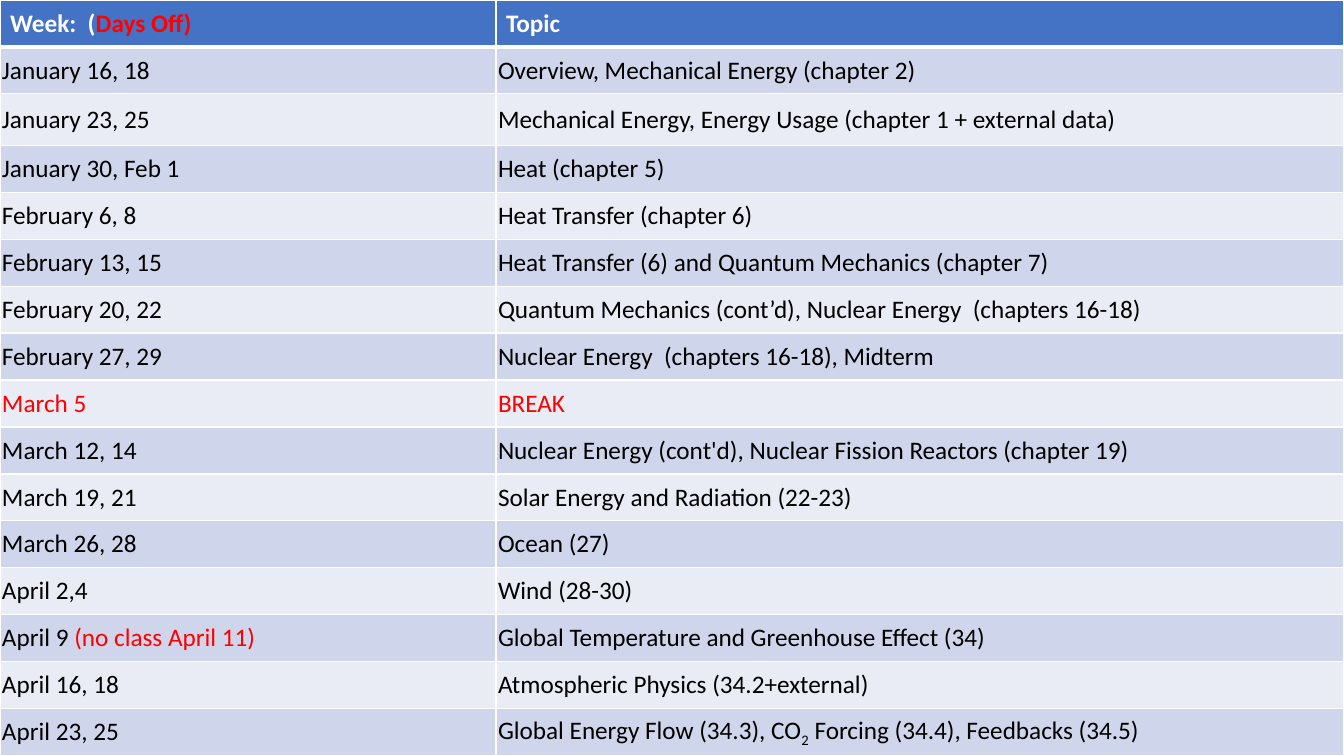
from lxml import etree
from pptx import Presentation
from pptx.dml.color import RGBColor as Color
from pptx.enum.text import MSO_ANCHOR as Anchor
from pptx.oxml.ns import qn
from pptx.util import Inches, Pt

COLORS = {
    "header": "4472C4",
    "odd": "CFD5EA",
    "even": "E9EBF5",
    "border": "FFFFFF",
    "title": "FFFFFF",
    "text": "000000",
    "off": "FF0000",
}

# Each cell is a list of (text, style); a bare string is one plain span
SCHEDULE = [
    ([("Week:  (", "title"), ("Days Off)", "off")], [("Topic", "title")]),
    ("January 16, 18", "Overview, Mechanical Energy (chapter 2)"),
    ("January 23, 25", "Mechanical Energy, Energy Usage (chapter 1 + external data)"),
    ("January 30, Feb 1", "Heat (chapter 5)"),
    ("February 6, 8", "Heat Transfer (chapter 6)"),
    ("February 13, 15", "Heat Transfer (6) and Quantum Mechanics (chapter 7)"),
    ("February 20, 22", "Quantum Mechanics (cont’d), Nuclear Energy  (chapters 16-18)"),
    ("February 27, 29", "Nuclear Energy  (chapters 16-18), Midterm"),
    ([("March 5", "off")], [("BREAK", "off")]),
    ("March 12, 14", "Nuclear Energy (cont'd), Nuclear Fission Reactors (chapter 19)"),
    ("March 19, 21", "Solar Energy and Radiation (22-23)"),
    ("March 26, 28", "Ocean (27)"),
    ("April 2,4", "Wind (28-30)"),
    ([("April 9 ", "text"), ("(no class April 11)", "off")],
     "Global Temperature and Greenhouse Effect (34)"),
    ("April 16, 18", "Atmospheric Physics (34.2+external)"),
    ("April 23, 25",
     [("Global Energy Flow (34.3), CO", "text"), ("2", "subscript"),
      (" Forcing (34.4), Feedbacks (34.5)", "text")]),
]

WIDTH, HEIGHT = 13.33, 7.5
COLUMN_WIDTHS = [4.92, 8.41]
TALL_ROW, TALL_HEIGHT = 2, 0.51


def add_border(cell, side, points):
    line = etree.SubElement(cell._tc.get_or_add_tcPr(), qn(f"a:ln{side}"), w=str(Pt(points)))
    fill = etree.SubElement(line, qn("a:solidFill"))
    etree.SubElement(fill, qn("a:srgbClr"), val=COLORS["border"])


# Page
deck = Presentation()
deck.slide_width, deck.slide_height = Inches(WIDTH), Inches(HEIGHT)
page = deck.slides.add_slide(deck.slide_layouts[6])

# Table grid: one taller row, the rest share the remaining height
frame = page.shapes.add_table(len(SCHEDULE), len(COLUMN_WIDTHS), 0, 0, Inches(WIDTH), Inches(HEIGHT))
table = frame.table
for column, width in zip(table.columns, COLUMN_WIDTHS):
    column.width = Inches(width)
row_height = (HEIGHT - TALL_HEIGHT) / (len(SCHEDULE) - 1)
for index, row in enumerate(table.rows):
    row.height = Inches(TALL_HEIGHT if index == TALL_ROW else row_height)

# Cells
for index, entries in enumerate(SCHEDULE):
    is_header = index == 0
    band = "header" if is_header else "odd" if index % 2 else "even"
    for column, entry in enumerate(entries):
        cell = table.cell(index, column)
        cell.vertical_anchor = Anchor.MIDDLE
        if not is_header:
            for side in ("left", "right", "top", "bottom"):
                setattr(cell, f"margin_{side}", Inches(0.02))

        # Borders, with a thicker rule under the header
        borders = {"L": 1, "R": 1, "T": 3 if index == 1 else 1, "B": 3 if is_header else 1}
        for side, points in borders.items():
            add_border(cell, side, points)
        cell.fill.solid()
        cell.fill.fore_color.rgb = Color.from_string(COLORS[band])

        # Text
        para = cell.text_frame.paragraphs[0]
        for text, style in [(entry, "text")] if isinstance(entry, str) else entry:
            span = para.add_run()
            span.text = text
            font_values = {"name": "Calibri", "size": Pt(18), "bold": is_header}
            for name, value in font_values.items():
                setattr(span.font, name, value)
            span.font.color.rgb = Color.from_string(COLORS.get(style, COLORS["text"]))
            if style == "subscript":
                span.font._element.set("baseline", "-25000")

deck.save("out.pptx")
